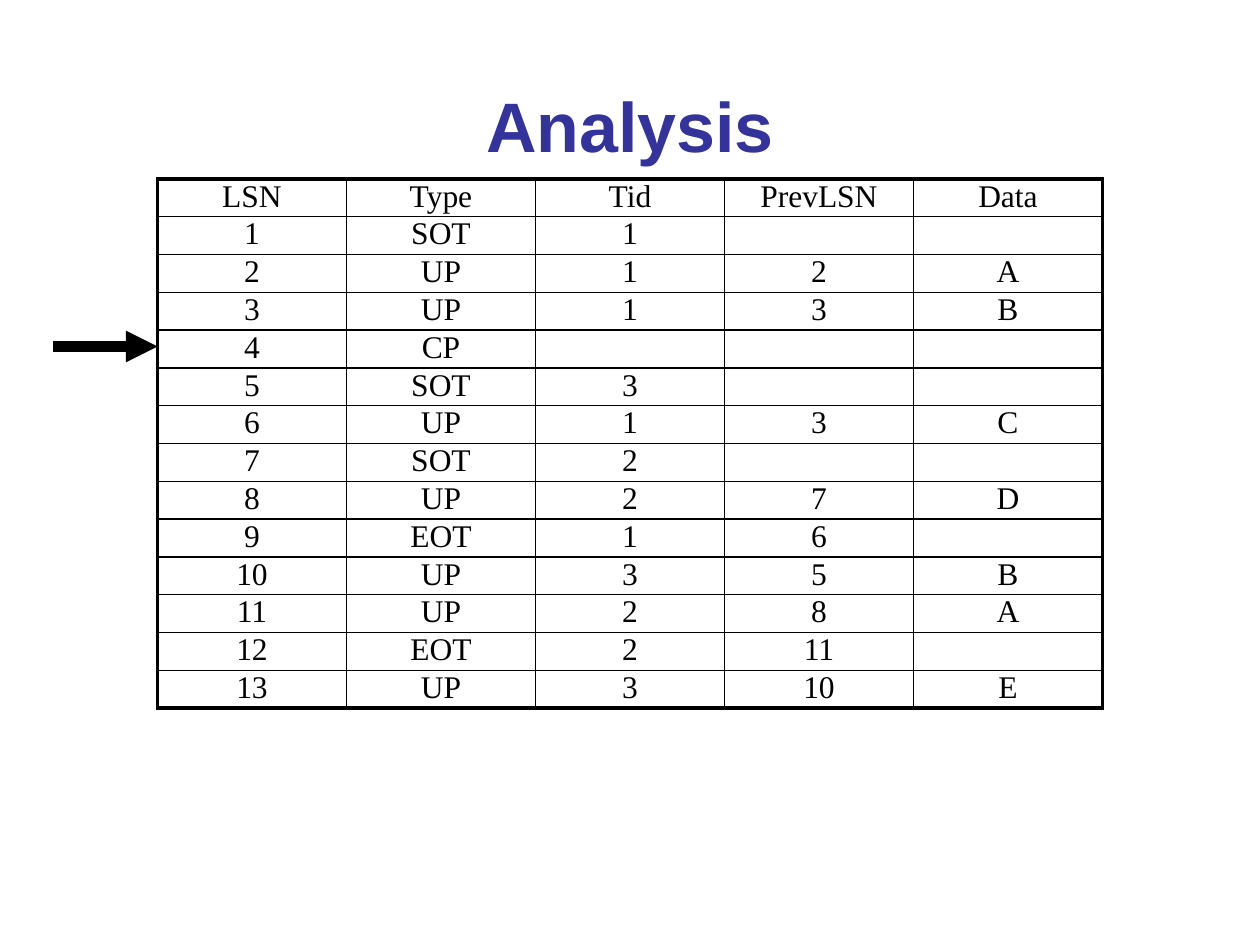
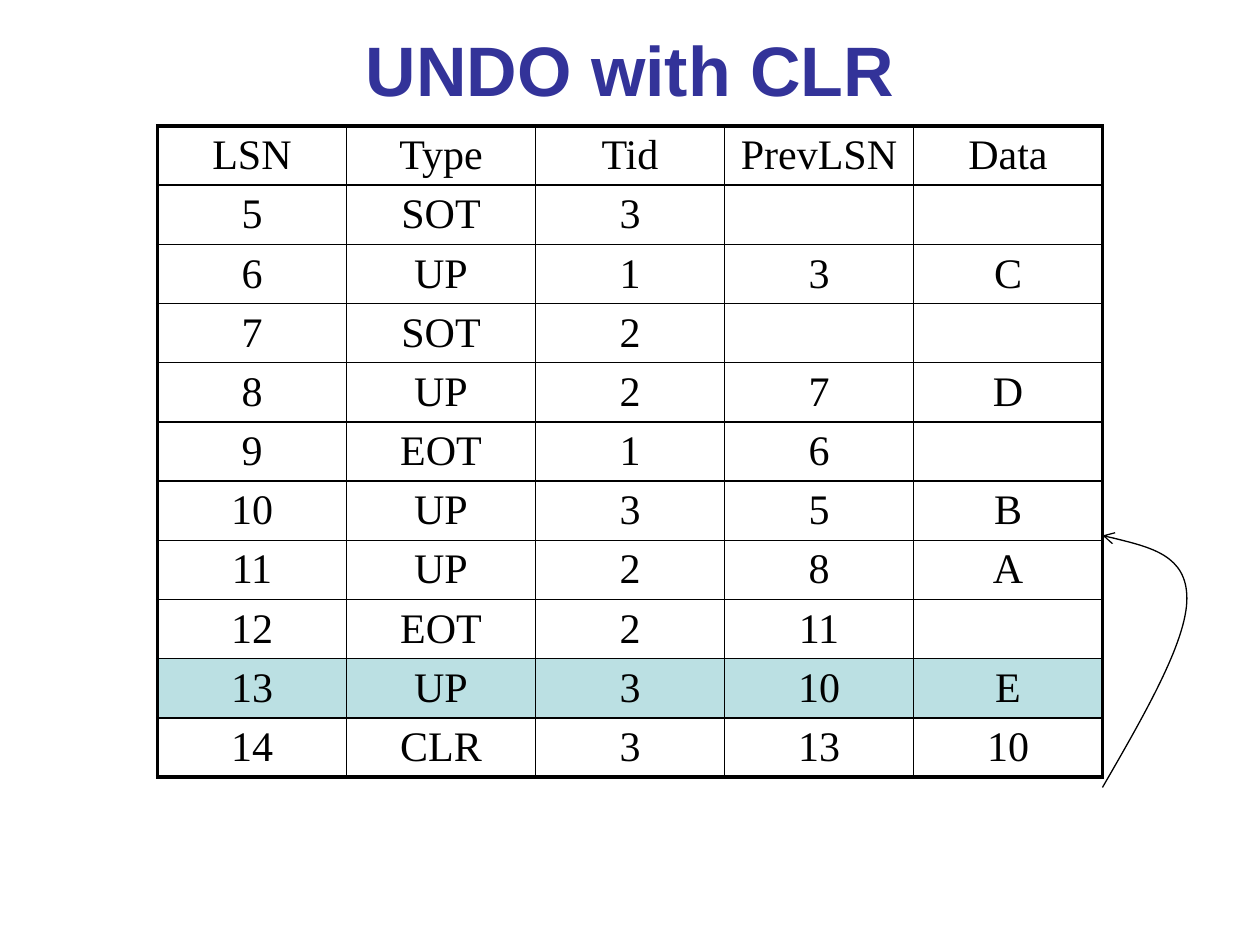
from dataclasses import dataclass

from lxml import etree
from pptx import Presentation
from pptx.dml.color import RGBColor
from pptx.enum.shapes import MSO_CONNECTOR
from pptx.enum.text import MSO_ANCHOR, PP_ALIGN
from pptx.oxml.ns import qn
from pptx.util import Pt

CENTER = PP_ALIGN.CENTER
MIDDLE = MSO_ANCHOR.MIDDLE
STRAIGHT = MSO_CONNECTOR.STRAIGHT
EMU_PER_PX = 9144
TITLE_ONLY = 5


def px(length):
    return round(length * EMU_PER_PX)


@dataclass(frozen=True)
class Theme:
    title_color: str = "333399"
    ink: str = "000000"
    paper: str = "FFFFFF"
    highlight: str = "BBE0E3"
    title_font: str = "Arial"
    table_font: str = "Times New Roman"
    title_size: int = 40
    dense_size: int = 18
    roomy_size: int = 24
    outer_border: float = 2.25
    inner_border: float = 1
    pointer_width: float = 6
    back_link_width: float = 0.75


@dataclass(frozen=True)
class Box:
    left: int
    top: int
    width: int
    height: int

    def emu(self):
        return [px(side) for side in (self.left, self.top, self.width, self.height)]

    def at(self, across, down):
        return px(self.left + across * self.width), px(self.top + down * self.height)


THEME = Theme()
HEADINGS = ("LSN", "Type", "Tid", "PrevLSN", "Data")
LOG = [
    ("1", "SOT", "1", "", ""),
    ("2", "UP", "1", "2", "A"),
    ("3", "UP", "1", "3", "B"),
    ("4", "CP", "", "", ""),
    ("5", "SOT", "3", "", ""),
    ("6", "UP", "1", "3", "C"),
    ("7", "SOT", "2", "", ""),
    ("8", "UP", "2", "7", "D"),
    ("9", "EOT", "1", "6", ""),
    ("10", "UP", "3", "5", "B"),
    ("11", "UP", "2", "8", "A"),
    ("12", "EOT", "2", "11", ""),
    ("13", "UP", "3", "10", "E"),
]
COMPENSATION = ("14", "CLR", "3", "13", "10")
DENSE_MARGINS = {"margin_left": px(5), "margin_right": px(5),
                 "margin_top": 0, "margin_bottom": 0}
ROOMY_MARGINS = {"margin_left": px(10), "margin_right": px(10),
                 "margin_top": px(5), "margin_bottom": px(5)}
BACK_LINK_START = (0, 1)
BACK_LINK_CONTROLS = [(0.5, 0.71), (1, 0.42), (1, 0.25),
                      (1, 0.08), (0.5, 0.04), (0, 0)]


def rgb(color):
    return RGBColor.from_string(color)


def apply(target, values):
    for attribute, value in values.items():
        setattr(target, attribute, value)


def add_title_slide(deck, wording, box):
    slide = deck.slides.add_slide(deck.slide_layouts[TITLE_ONLY])
    title = slide.shapes.title
    apply(title, dict(zip(("left", "top", "width", "height"), box.emu())))
    apply(title.text_frame, {"text": wording, "word_wrap": True,
                             "vertical_anchor": MIDDLE})
    heading = title.text_frame.paragraphs[0]
    heading.alignment = CENTER
    font = heading.runs[0].font
    apply(font, {"name": THEME.title_font, "size": Pt(THEME.title_size), "bold": True})
    font.color.rgb = rgb(THEME.title_color)
    return slide


def draw_border(cell, side, weight):
    properties = cell._tc.get_or_add_tcPr()
    border = etree.SubElement(properties, qn(f"a:ln{side}"), w=str(Pt(weight)))
    ink = etree.SubElement(border, qn("a:solidFill"))
    etree.SubElement(ink, qn("a:srgbClr"), val=THEME.ink)


def write_cell(cell, wording, size):
    entry = cell.text_frame.paragraphs[0]
    entry.alignment = CENTER
    if wording:
        run = entry.add_run()
        run.text = wording
        apply(run.font, {"name": THEME.table_font, "size": Pt(size)})
        run.font.color.rgb = rgb(THEME.ink)
    else:
        blank = etree.SubElement(entry._p, qn("a:endParaRPr"), sz=str(size * 100))
        etree.SubElement(blank, qn("a:latin"), typeface=THEME.table_font)


def add_log_table(slide, box, records, size, margins, highlighted=None):
    rows = [HEADINGS, *records]
    last_row, last_column = len(rows) - 1, len(HEADINGS) - 1
    table = slide.shapes.add_table(len(rows), len(HEADINGS), *box.emu()).table
    apply(table, {"first_row": False, "horz_banding": False})
    for column in table.columns:
        column.width = px(box.width // len(HEADINGS))
    for r, record in enumerate(rows):
        table.rows[r].height = px(box.height // len(rows))
        for c, wording in enumerate(record):
            cell = table.cell(r, c)
            apply(cell, margins)
            write_cell(cell, wording, size)
            edges = {"L": c == 0, "R": c == last_column, "T": r == 0, "B": r == last_row}
            for side, outer in edges.items():
                draw_border(cell, side, THEME.outer_border if outer else THEME.inner_border)
            cell.fill.solid()
            shade = THEME.highlight if record[0] == highlighted else THEME.paper
            cell.fill.fore_color.rgb = rgb(shade)


def ink_arrow(arrow, weight, head):
    arrow.line.color.rgb = rgb(THEME.ink)
    arrow.line.width = Pt(weight)
    outline = arrow._element.spPr.find(qn("a:ln"))
    etree.SubElement(outline, qn("a:tailEnd"), type=head)


def add_checkpoint_pointer(slide, box):
    pointer = slide.shapes.add_connector(STRAIGHT, *box.at(0, 0), *box.at(1, 0))
    ink_arrow(pointer, THEME.pointer_width, "triangle")
    etree.SubElement(pointer._element.spPr, qn("a:effectLst"))


def add_back_link(slide, box):
    builder = slide.shapes.build_freeform(*box.at(*BACK_LINK_START))
    builder.add_line_segments([box.at(*point) for point in BACK_LINK_CONTROLS], close=False)
    link = builder.convert_to_shape()
    segments = list(link._element.iter(qn("a:lnTo")))
    for first in range(0, len(segments), 3):
        curve = etree.SubElement(segments[first].getparent(), qn("a:cubicBezTo"))
        for segment in segments[first:first + 3]:
            curve.append(segment[0])
            segment.getparent().remove(segment)
    link.fill.background()
    ink_arrow(link, THEME.back_link_width, "arrow")
    link.shadow.inherit = False


def build_analysis(deck):
    slide = add_title_slide(deck, "Analysis", Box(75, 45, 850, 108))
    add_log_table(slide, Box(125, 142, 750, 420), LOG, THEME.dense_size, DENSE_MARGINS)
    add_checkpoint_pointer(slide, Box(42, 275, 83, 0))


def build_undo(deck):
    slide = add_title_slide(deck, "UNDO with CLR", Box(75, 0, 850, 108))
    add_log_table(slide, Box(125, 100, 750, 517), LOG[4:] + [COMPENSATION],
                  THEME.roomy_size, ROOMY_MARGINS, highlighted="13")
    add_back_link(slide, Box(875, 425, 67, 200))


def main():
    deck = Presentation()
    apply(deck, {"slide_width": px(1000), "slide_height": px(750)})
    build_analysis(deck)
    build_undo(deck)
    deck.save("out.pptx")


if __name__ == "__main__":
    main()
